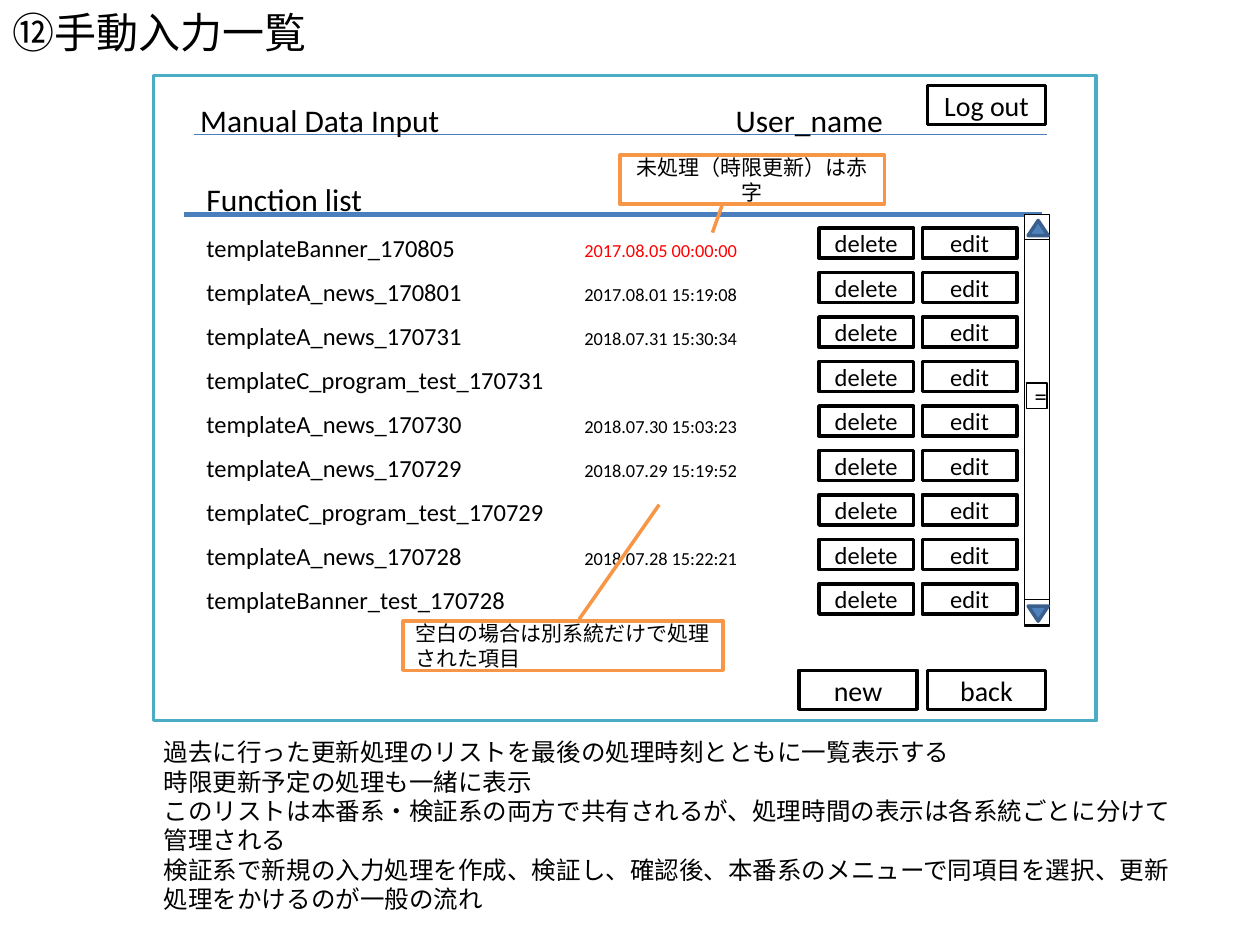
from lxml.etree import SubElement
from pptx import Presentation
from pptx.dml.color import RGBColor
from pptx.enum.shapes import MSO_CONNECTOR, MSO_SHAPE
from pptx.enum.text import MSO_ANCHOR, MSO_AUTO_SIZE, PP_ALIGN
from pptx.oxml.ns import qn
from pptx.util import Inches, Pt

COLUMNS, ROWS = 100, 75
BLACK, WHITE, RED = "000000", "FFFFFF", "FF0000"
TEAL, ORANGE, RULE_BLUE = "4BACC6", "F79646", "4B7EBC"
ARROW_FILL, ARROW_LINE = "4F81BD", "3A5F8C"

FUNCTIONS = [
    ("templateBanner_170805", "2017.08.05 00:00:00"),
    ("templateA_news_170801", "2017.08.01 15:19:08"),
    ("templateA_news_170731", "2018.07.31 15:30:34"),
    ("templateC_program_test_170731", ""),
    ("templateA_news_170730", "2018.07.30 15:03:23"),
    ("templateA_news_170729", "2018.07.29 15:19:52"),
    ("templateC_program_test_170729", ""),
    ("templateA_news_170728", "2018.07.28 15:22:21"),
    ("templateBanner_test_170728", ""),
]
DESCRIPTION = [
    "過去に行った更新処理のリストを最後の処理時刻とともに一覧表示する",
    "時限更新予定の処理も一緒に表示",
    "このリストは本番系・検証系の両方で共有されるが、処理時間の表示は各系統ごとに分けて",
    "管理される",
    "検証系で新規の入力処理を作成、検証し、確認後、本番系のメニューで同項目を選択、更新",
    "処理をかけるのが一般の流れ",
]


def color(hex_string):
    return RGBColor.from_string(hex_string)


def write(frame, lines, size=14, align=PP_ALIGN.LEFT, anchor=MSO_ANCHOR.TOP,
          spacing=1.0, wrap=True, tab=None, plain=False):
    frame.auto_size = MSO_AUTO_SIZE.NONE
    frame.word_wrap = wrap
    frame.vertical_anchor = anchor
    for index, line in enumerate(lines):
        paragraph = frame.paragraphs[0] if index == 0 else frame.add_paragraph()
        properties = paragraph._p.get_or_add_pPr()
        if plain:
            properties.set("marL", "0")
            properties.set("indent", "0")
            SubElement(properties, qn("a:buNone"))
        if tab:
            stops = SubElement(properties, qn("a:tabLst"))
            SubElement(stops, qn("a:tab"), pos=str(Inches(tab)), algn="l")
        paragraph.alignment = align
        paragraph.line_spacing = spacing
        paragraph.space_before = Pt(0)
        runs = [(line, size, BLACK)] if isinstance(line, str) else line
        for text, run_size, run_color in runs:
            run = paragraph.add_run()
            run.text = text
            run.font.name = "Calibri"
            run.font.size = Pt(run_size)
            run.font.color.rgb = color(run_color)


class ScreenSketch:
    def __init__(self, presentation):
        self.column = presentation.slide_width / COLUMNS
        self.row = presentation.slide_height / ROWS
        self.slide = presentation.slides.add_slide(presentation.slide_layouts[1])

    def area(self, left, top, width, height):
        return (round(left * self.column), round(top * self.row),
                round(width * self.column), round(height * self.row))

    def placeholder(self, index, area, lines, **text_format):
        shape = self.slide.placeholders[index]
        shape.left, shape.top, shape.width, shape.height = self.area(*area)
        write(shape.text_frame, lines, **text_format)

    def text(self, area, lines, **text_format):
        shape = self.slide.shapes.add_textbox(*self.area(*area))
        write(shape.text_frame, lines, spacing=1.5, **text_format)

    def box(self, area, lines=(), kind=MSO_SHAPE.RECTANGLE, fill=WHITE, line=BLACK,
            weight=2, align=PP_ALIGN.CENTER, size=14):
        shape = self.slide.shapes.add_shape(kind, *self.area(*area))
        shape.shadow.inherit = False
        shape.fill.solid()
        shape.fill.fore_color.rgb = color(fill)
        shape.line.color.rgb = color(line)
        shape.line.width = Pt(weight)
        write(shape.text_frame, lines, size=size, align=align, anchor=MSO_ANCHOR.MIDDLE)
        return shape

    def callout(self, area, text, pointer, align=PP_ALIGN.CENTER):
        shape = self.box(area, [text], kind=MSO_SHAPE.LINE_CALLOUT_1,
                         line=ORANGE, align=align, size=12)
        for index, value in enumerate(pointer):
            shape.adjustments[index] = value

    def rule(self, left, right, top, weight):
        x_start, y, x_end, _ = self.area(left, top, right, 0)
        connector = self.slide.shapes.add_connector(MSO_CONNECTOR.STRAIGHT, x_start, y, x_end, y)
        connector.line.color.rgb = color(RULE_BLUE)
        connector.line.width = Pt(weight)
        SubElement(connector.element.spPr, qn("a:effectLst"))

    def scroll_end(self, top, upward):
        self.box((81.3, top, 2, 2), weight=0.75)
        arrow = self.box((81.6, top + 0.5, 1.6, 1.2), kind=MSO_SHAPE.FLOWCHART_MERGE,
                         fill=ARROW_FILL, line=ARROW_LINE)
        if upward:
            arrow.element.spPr.get_or_add_xfrm().set("flipV", "1")

    def scroll_bar(self):
        self.box((81.3, 17, 2, 32.7), weight=0.75)
        self.scroll_end(17, upward=True)
        self.scroll_end(47.6, upward=False)
        self.box((81.5, 30.4, 1.6, 2), ["="], weight=0.75)


def function_lines():
    lines = [[("Function list", 18, BLACK)]]
    for index, (name, time) in enumerate(FUNCTIONS):
        line = [(name + "\t" if time else name, 14, BLACK)]
        if time:
            line.append((time, 10.5, RED if index == 0 else BLACK))
        lines.append(line)
    return lines


def main():
    presentation = Presentation()
    presentation.slide_width, presentation.slide_height = Inches(10), Inches(7.5)
    sketch = ScreenSketch(presentation)

    sketch.placeholder(0, (0, 0, 100, 6), ["⑫手動入力一覧"], size=24)
    sketch.placeholder(1, (12, 58, 82.9, 15.1), DESCRIPTION, plain=True)

    sketch.box((12.2, 6, 74.8, 51.2), line=TEAL)
    sketch.rule(15.4, 83.1, 10.7, 0.75)
    sketch.text((14.9, 6, 21.8, 5.6), ["Manual Data Input"], size=18, wrap=False)
    sketch.text((57.4, 6, 13.8, 5.1), ["User_name"], size=18, wrap=False)
    for label, left, top in [("Log out", 73.6, 6.8), ("new", 63.4, 53.2), ("back", 73.6, 53.2)]:
        sketch.box((left, top, 9.4, 3.1), [label], size=16)

    sketch.text((15.4, 12.3, 58.7, 37.4), function_lines(), tab=3)
    sketch.rule(14.6, 82.7, 17, 3)
    for index in range(len(FUNCTIONS)):
        for label, left in [("delete", 65), ("edit", 73.2)]:
            sketch.box((left, 18.1 + 3.53 * index, 7.5, 2.4), [label])
    sketch.scroll_bar()

    sketch.callout((49.2, 12.3, 21, 3.9), "未処理（時限更新）は赤字", (0.97, 0.39, 1.58, 0.35))
    sketch.callout((32, 49.3, 25.4, 3.9), "空白の場合は別系統だけで処理された項目",
                   (-0.04, 0.55, -2.37, 0.8), align=PP_ALIGN.LEFT)

    presentation.save("out.pptx")


if __name__ == "__main__":
    main()
